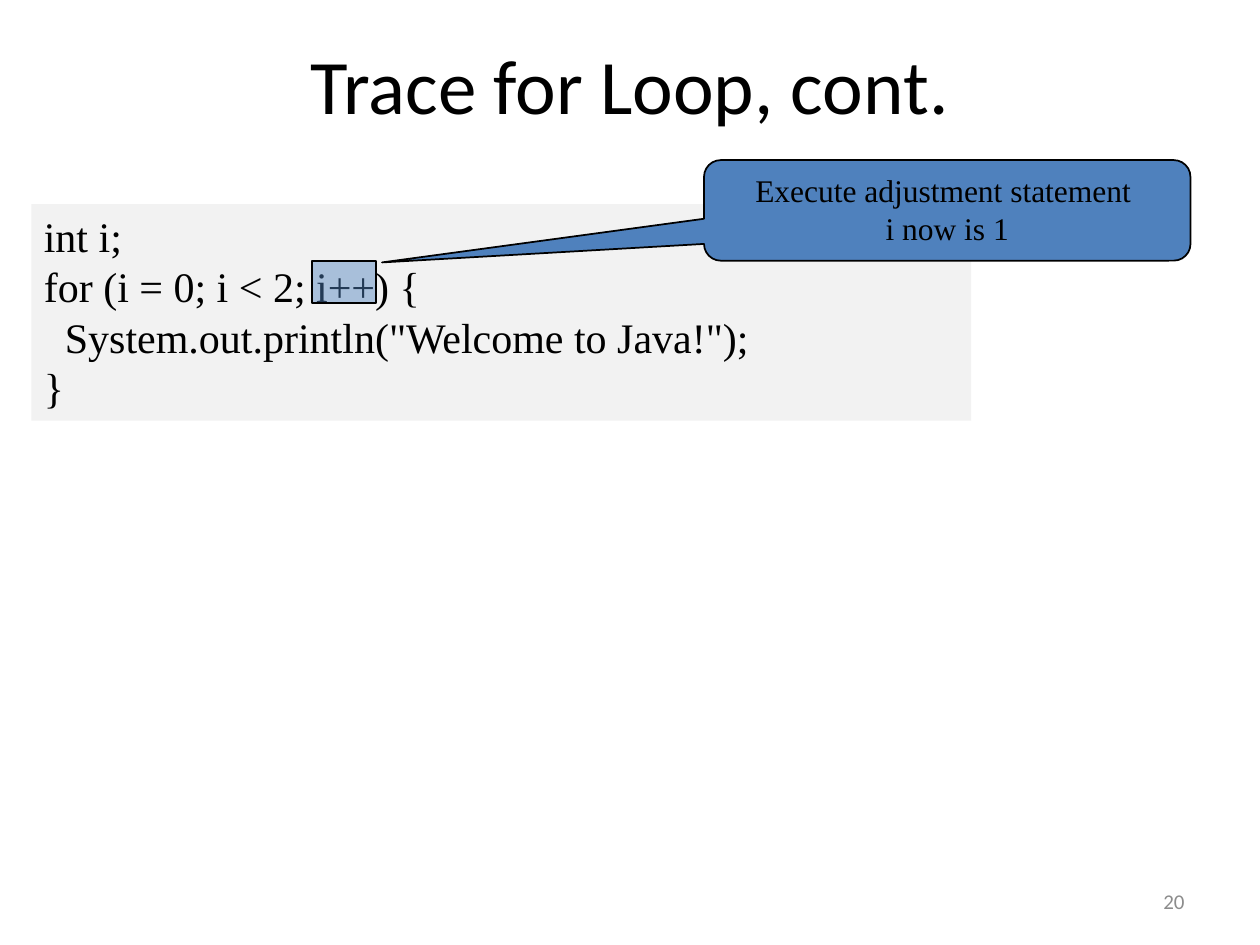
from lxml.etree import SubElement
from pptx import Presentation
from pptx.dml.color import RGBColor
from pptx.enum.shapes import MSO_SHAPE as Shape
from pptx.enum.text import MSO_ANCHOR as Anchor, PP_ALIGN as Align
from pptx.oxml.ns import qn
from pptx.util import Pt

# Content
TITLE = ["Trace for Loop, cont."]
CODE = [
    "int i;",
    "for (i = 0; i < 2; i++) {",
    '  System.out.println("Welcome to Java!");',
    "}",
]
NOTE = ["Execute adjustment statement ", "i now is 1"]
PAGE_NUMBER = ["20"]

THEME = {
    "heading_font": "Calibri", "code_font": "Times New Roman",
    "ink": "000000", "muted": "8C8C8C", "panel": "F2F2F2", "accent": "4F81BD",
    "title_size": 44, "code_size": 24, "note_size": 18, "number_size": 12,
}

# Left, top, width, height in points
TITLE_AREA = (54, 18, 612, 60)
CODE_AREA = (18, 116.6, 537, 123.8)
MARK_AREA = (178.5, 149, 36.5, 24.3)
NOTE_AREA = (402.3, 91.5, 278, 57.5)
NUMBER_AREA = (516, 500.5, 168, 28.8)
POINTER_TIP = (218.3, 150)


def color(name):
    return RGBColor.from_string(THEME[name])


def add_shape(page, kind, area, fill, outlined=False, alpha=None):
    shape = page.shapes.add_shape(kind, *map(Pt, area))
    shape.shadow.inherit = False
    shape.fill.solid()
    shape.fill.fore_color.rgb = color(fill)
    if alpha is not None:
        tint = shape.fill._xPr.find(".//" + qn("a:srgbClr"))
        SubElement(tint, qn("a:alpha"), val=str(alpha * 1000))
    if outlined:
        shape.line.color.rgb = color("ink")
        shape.line.width = Pt(1)
    else:
        shape.line.fill.background()
    return shape


def write(box, lines, *, font, size, ink="ink", align=Align.LEFT, anchor=Anchor.TOP):
    frame = box.text_frame
    frame.word_wrap = True
    frame.vertical_anchor = anchor
    for index, line in enumerate(lines):
        para = frame.add_paragraph() if index else frame.paragraphs[0]
        para.alignment = align
        span = para.add_run()
        span.text = line
        span.font.name = THEME[font]
        span.font.size = Pt(THEME[size])
        span.font.color.rgb = color(ink)


def main():
    deck = Presentation()
    deck.slide_width, deck.slide_height = Pt(720), Pt(540)
    page = deck.slides.add_slide(deck.slide_layouts[6])

    # Code panel
    panel = add_shape(page, Shape.RECTANGLE, CODE_AREA, "panel")
    write(panel, CODE, font="code_font", size="code_size")

    # Title and page number
    title = page.shapes.add_textbox(*map(Pt, TITLE_AREA))
    write(title, TITLE, font="heading_font", size="title_size",
          align=Align.CENTER, anchor=Anchor.MIDDLE)
    number = page.shapes.add_textbox(*map(Pt, NUMBER_AREA))
    write(number, PAGE_NUMBER, font="heading_font", size="number_size",
          ink="muted", align=Align.RIGHT, anchor=Anchor.MIDDLE)

    # Highlight over the adjustment statement
    add_shape(page, Shape.RECTANGLE, MARK_AREA, "accent", outlined=True, alpha=45)

    # Callout whose tip is measured from its centre, as a share of its size
    note = add_shape(page, Shape.ROUNDED_RECTANGULAR_CALLOUT, NOTE_AREA,
                     "accent", outlined=True)
    left, top, width, height = NOTE_AREA
    note.adjustments[0] = (POINTER_TIP[0] - left) / width - 0.5
    note.adjustments[1] = (POINTER_TIP[1] - top) / height - 0.5
    write(note, NOTE, font="code_font", size="note_size", align=Align.CENTER)

    deck.save("out.pptx")


if __name__ == "__main__":
    main()
